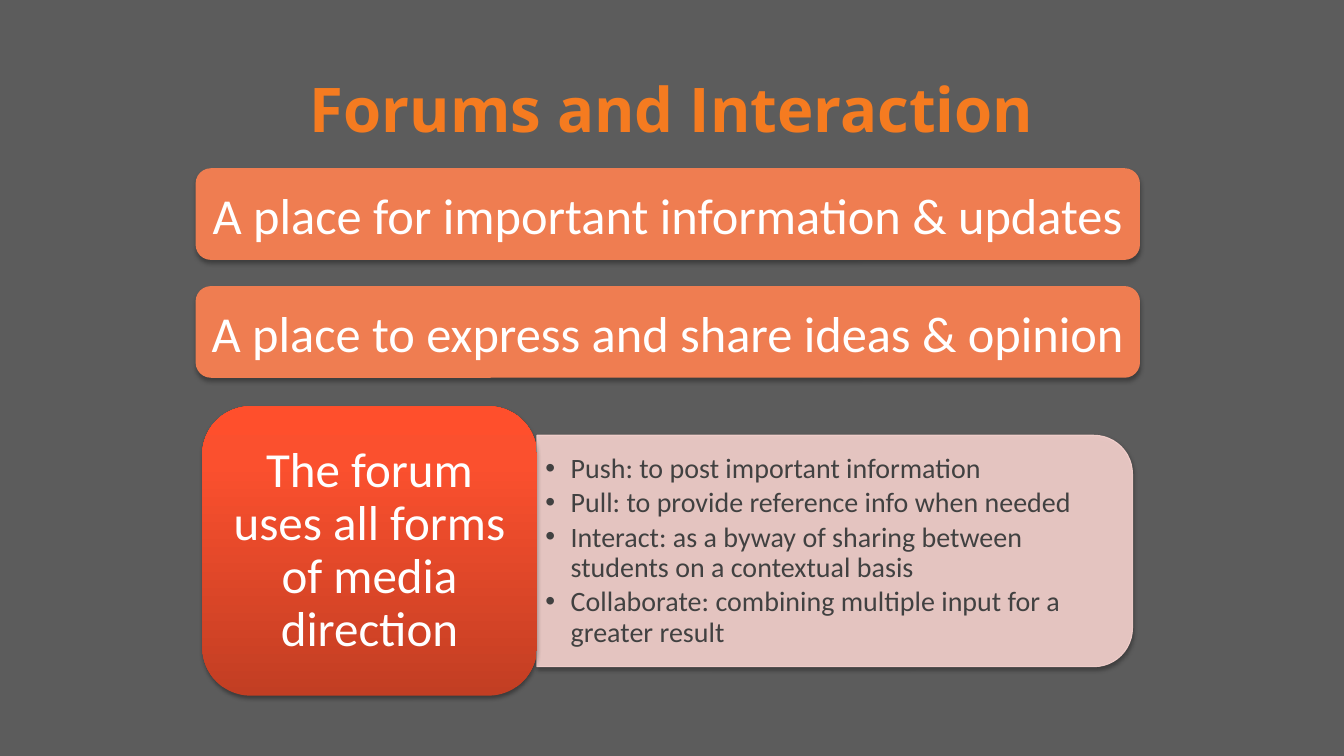
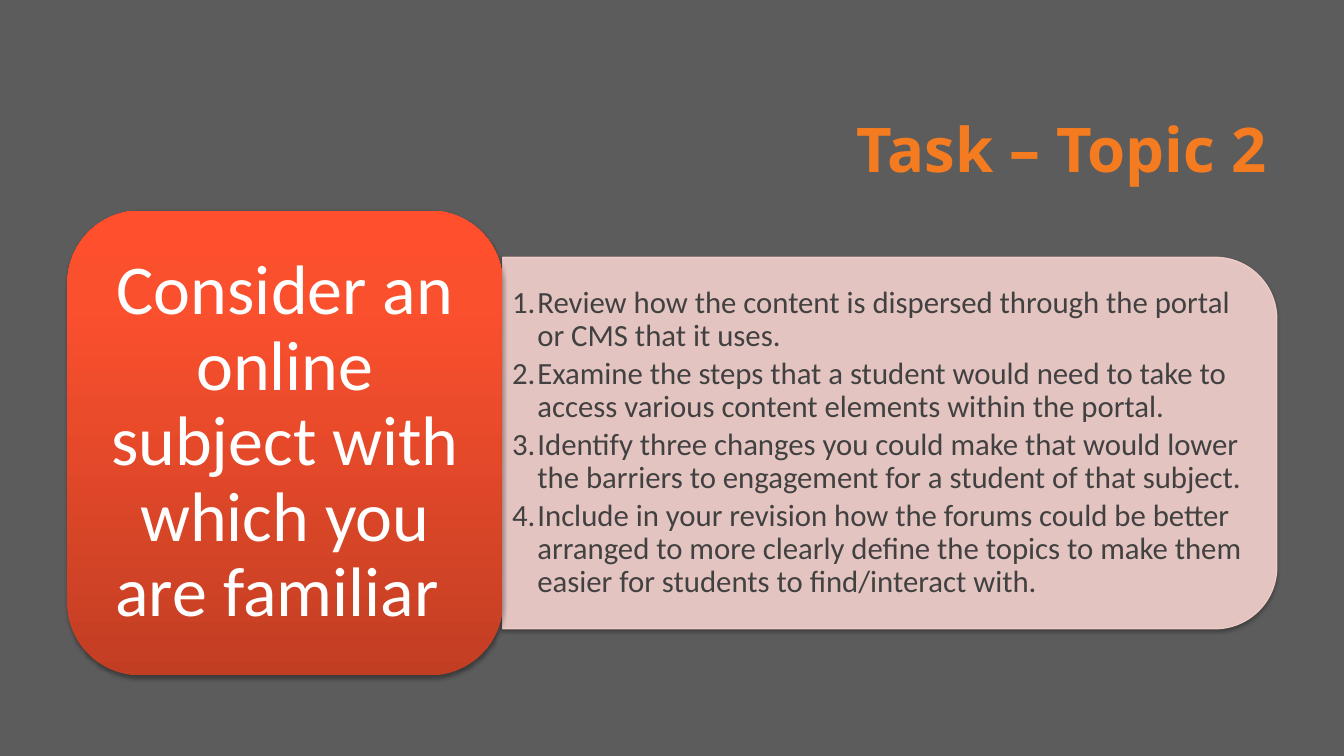
from dataclasses import dataclass

from lxml.etree import SubElement
from pptx import Presentation
from pptx.dml.color import RGBColor
from pptx.enum.shapes import MSO_SHAPE as Preset
from pptx.enum.text import MSO_ANCHOR as Anchor, MSO_AUTO_SIZE as AutoSize, PP_ALIGN as Align
from pptx.oxml.ns import qn
from pptx.shapes.autoshape import Shape
from pptx.slide import Slide
from pptx.text.text import TextFrame
from pptx.util import Cm, Pt


@dataclass(frozen=True)
class Shadow:
    alpha: int
    blur: float
    distance: float


@dataclass(frozen=True)
class Theme:
    background: str = "5C5C5C"
    accent: str = "F57B20"
    dark: str = "414141"
    light: str = "FFFFFF"
    bar: str = "EF7D51"
    panel: str = "F7D3CF"
    panel_alpha: int = 90
    tab_stops: tuple[tuple[int, str], ...] = ((0, "C23E23"), (80, "FB502E"), (100, "FF4F2C"))
    title_font: str = "Open Sans"
    body_font: str = "Calibri"
    title_size: int = 44
    bar_size: int = 36
    bar_shadow: Shadow = Shadow(32, 3.5, 2.2)
    block_shadow: Shadow = Shadow(35, 3.1, 1.8)


@dataclass(frozen=True)
class Box:
    """A frame in centimetres."""
    left: float
    top: float
    width: float
    height: float

    def place(self, shape: Shape) -> None:
        shape.left, shape.top = Cm(self.left), Cm(self.top)
        shape.width, shape.height = Cm(self.width), Cm(self.height)


@dataclass(frozen=True)
class Block:
    """A coloured tab with a list panel to its right."""
    tab: Box
    panel_width: float
    label: str
    label_size: int
    items: tuple[str, ...]
    item_size: int
    numbered: bool = False


@dataclass(frozen=True)
class Page:
    title: str
    title_top: float
    title_align: Align
    block: Block
    bars: tuple[str, ...] = ()


THEME = Theme()
PANEL_SHARE = 0.8  # panel height as a share of the tab height
CORNER_INSET = 0.05  # text inset of a rounded corner, as a share of the short side
BAR = Box(4.93, 4.24, 23.8, 2.31)
BAR_PITCH = 2.97

PAGES = (
    Page(
        "Forums and Interaction", 1.12, Align.CENTER,
        Block(
            Box(5.1, 10.24, 8.43, 7.29), 15.01,
            "The forum uses all forms of media direction", 35,
            (
                "Push: to post important information",
                "Pull: to provide reference info when needed",
                "Interact: as a byway of sharing between students on a contextual basis",
                "Collaborate: combining multiple input for a greater result",
            ), 20,
        ),
        (
            "A place for important information & updates",
            "A place to express and share ideas & opinion",
        ),
    ),
    Page(
        "Task – Topic 2", 2.13, Align.RIGHT,
        Block(
            Box(1.7, 5.31, 10.97, 11.71), 19.51,
            "Consider an online subject with which you are familiar ", 50,
            (
                "Review how the content is dispersed through the portal or CMS that it uses.",
                "Examine the steps that a student would need to take to access various content "
                "elements within the portal.",
                "Identify three changes you could make that would lower the barriers to "
                "engagement for a student of that subject.",
                "Include in your revision how the forums could be better arranged to more "
                "clearly define the topics to make them easier for students to find/interact with.",
            ), 22, numbered=True,
        ),
    ),
)


# Text
def write(frame: TextFrame, *lines: str, size: int, color: str, font: str = THEME.body_font,
          bold: bool = False, align: Align = Align.LEFT, spacing: float = 1.0,
          after: float = 0, wrap: bool = True) -> None:
    frame.word_wrap = wrap
    frame.auto_size = AutoSize.NONE
    frame.vertical_anchor = Anchor.MIDDLE
    for index, line in enumerate(lines):
        para = frame.add_paragraph() if index else frame.paragraphs[0]
        para.alignment = align
        para.line_spacing = spacing
        para.space_before, para.space_after = Pt(0), Pt(after)
        span = para.add_run()
        span.text = line
        span.font.name, span.font.size, span.font.bold = font, Pt(size), bold
        span.font.color.rgb = RGBColor.from_string(color)


def set_margins(frame: TextFrame, size: int) -> None:
    frame.margin_left = frame.margin_right = Pt(0.3 * size)
    frame.margin_top = frame.margin_bottom = Pt(0.15 * size)


def mark_list(frame: TextFrame, numbered: bool) -> None:
    for para in frame.paragraphs:
        para.level = 1
        properties = para._p.get_or_add_pPr()
        properties.set("marL", str(Cm(0.64)))
        properties.set("indent", str(-Cm(0.64)))
        if numbered:
            SubElement(properties, qn("a:buAutoNum"), type="arabicPeriod")
        else:
            SubElement(properties, qn("a:buChar"), char="•")


# Shapes
def add_shape(slide: Slide, preset: Preset, box: Box, shadow: Shadow) -> Shape:
    shape = slide.shapes.add_shape(preset, 0, 0, 0, 0)
    box.place(shape)
    shape.line.fill.background()
    shape.shadow.inherit = False
    effects = shape.element.spPr.find(qn("a:effectLst"))
    outer = SubElement(effects, qn("a:outerShdw"), blurRad=str(Pt(shadow.blur)),
                       dist=str(Pt(shadow.distance)), dir="5400000", rotWithShape="0")
    color = SubElement(outer, qn("a:srgbClr"), val="000000")
    SubElement(color, qn("a:alpha"), val=str(shadow.alpha * 1000))
    return shape


def fill_solid(shape: Shape, color: str) -> None:
    shape.fill.solid()
    shape.fill.fore_color.rgb = RGBColor.from_string(color)


def fill_gradient(shape: Shape, stops: tuple[tuple[int, str], ...]) -> None:
    shape.fill.gradient()
    shape.fill.gradient_angle = 90
    stop_list = shape.element.spPr.find(".//" + qn("a:gsLst"))
    stop_list.clear()
    for position, color in stops:
        stop = SubElement(stop_list, qn("a:gs"), pos=str(position * 1000))
        SubElement(stop, qn("a:srgbClr"), val=color)


# Slide parts
def draw_title(slide: Slide, page: Page) -> None:
    title = slide.shapes.title
    Box(1.7, page.title_top, 30.48, 3.18).place(title)
    write(title.text_frame, page.title, size=THEME.title_size, color=THEME.accent,
          font=THEME.title_font, bold=True, align=page.title_align)
    properties = title.text_frame.paragraphs[0].runs[0].font._element
    outline = SubElement(properties, qn("a:ln"), w=str(Pt(0.75)))
    SubElement(SubElement(outline, qn("a:solidFill")), qn("a:srgbClr"), val=THEME.dark)
    properties.insert(0, outline)


def draw_panel(slide: Slide, block: Block) -> None:
    tab, width = block.tab, block.panel_width
    height = tab.height * PANEL_SHARE
    left, top = tab.left + tab.width, tab.top + (tab.height - height) / 2
    # Turned a quarter, so the frame is upright around the same centre
    upright = Box(left + (width - height) / 2, top + (height - width) / 2, height, width)
    panel = add_shape(slide, Preset.ROUND_2_SAME_RECTANGLE, upright, THEME.block_shadow)
    panel.rotation = 90
    fill_solid(panel, THEME.panel)
    panel.line.color.rgb = RGBColor.from_string(THEME.panel)
    panel.line.width = Pt(0.75)
    for paint in panel.element.spPr.iter(qn("a:solidFill")):
        SubElement(paint[0], qn("a:alpha"), val=str(THEME.panel_alpha * 1000))

    inset = height * CORNER_INSET
    body = slide.placeholders[1]
    Box(left, top + inset, width - inset, height - 2 * inset).place(body)
    write(body.text_frame, *block.items, size=block.item_size, color=THEME.dark,
          spacing=0.9, after=0.15 * block.item_size)
    set_margins(body.text_frame, block.item_size)
    mark_list(body.text_frame, block.numbered)
    panel.element.addnext(body.element)  # the list lies in front of its panel


def draw_tab(slide: Slide, block: Block) -> None:
    tab = add_shape(slide, Preset.ROUNDED_RECTANGLE, block.tab, THEME.block_shadow)
    fill_gradient(tab, THEME.tab_stops)
    write(tab.text_frame, block.label, size=block.label_size, color=THEME.light,
          align=Align.CENTER, spacing=0.9, after=0.35 * block.label_size)
    set_margins(tab.text_frame, block.label_size)


def draw_bars(slide: Slide, labels: tuple[str, ...]) -> None:
    for index, label in enumerate(labels):
        box = Box(BAR.left, BAR.top + index * BAR_PITCH, BAR.width, BAR.height)
        bar = add_shape(slide, Preset.ROUNDED_RECTANGLE, box, THEME.bar_shadow)
        fill_solid(bar, THEME.bar)
        write(bar.text_frame, label, size=THEME.bar_size, color=THEME.light,
              align=Align.CENTER, wrap=False)


def main() -> None:
    deck = Presentation()
    deck.slide_width, deck.slide_height = Cm(33.87), Cm(19.05)
    backdrop = deck.slide_master.background.fill
    backdrop.solid()
    backdrop.fore_color.rgb = RGBColor.from_string(THEME.background)
    for page in PAGES:
        slide = deck.slides.add_slide(deck.slide_layouts[1])
        draw_title(slide, page)
        draw_panel(slide, page.block)
        draw_tab(slide, page.block)
        draw_bars(slide, page.bars)
    deck.save("out.pptx")


if __name__ == "__main__":
    main()
